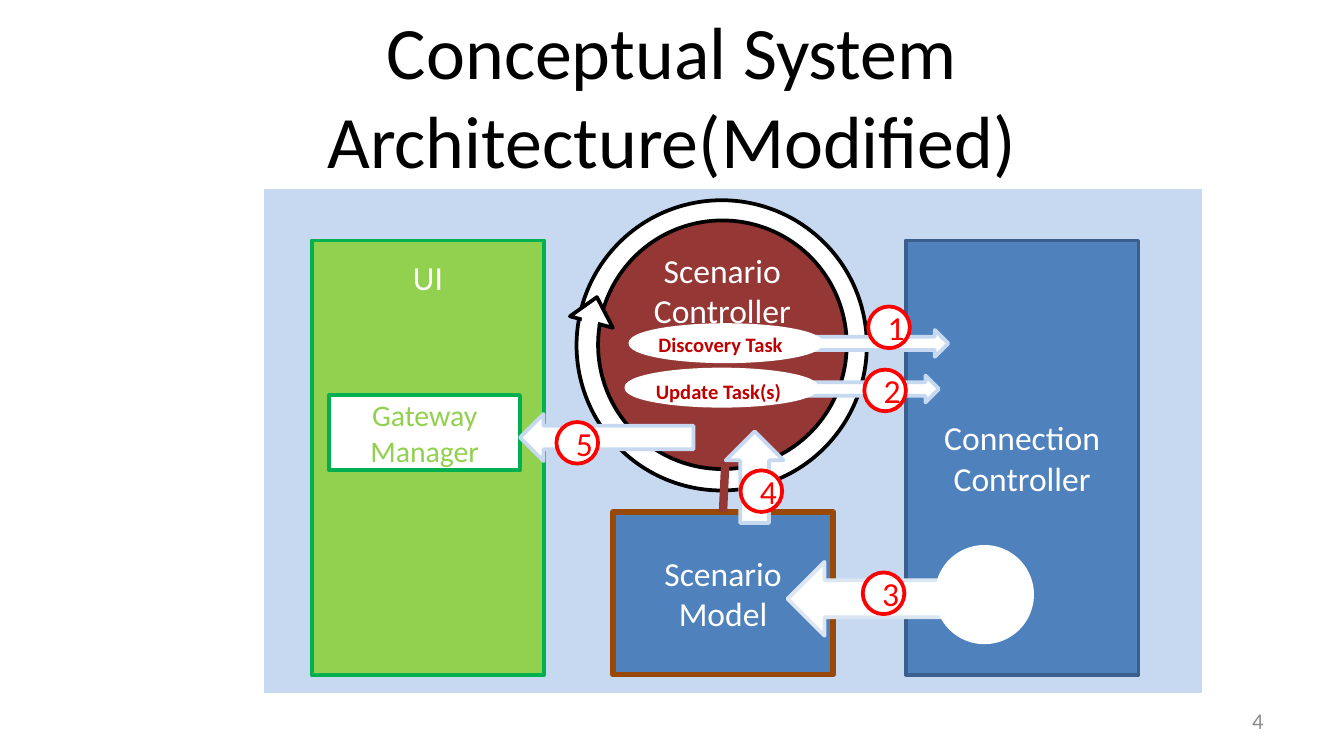
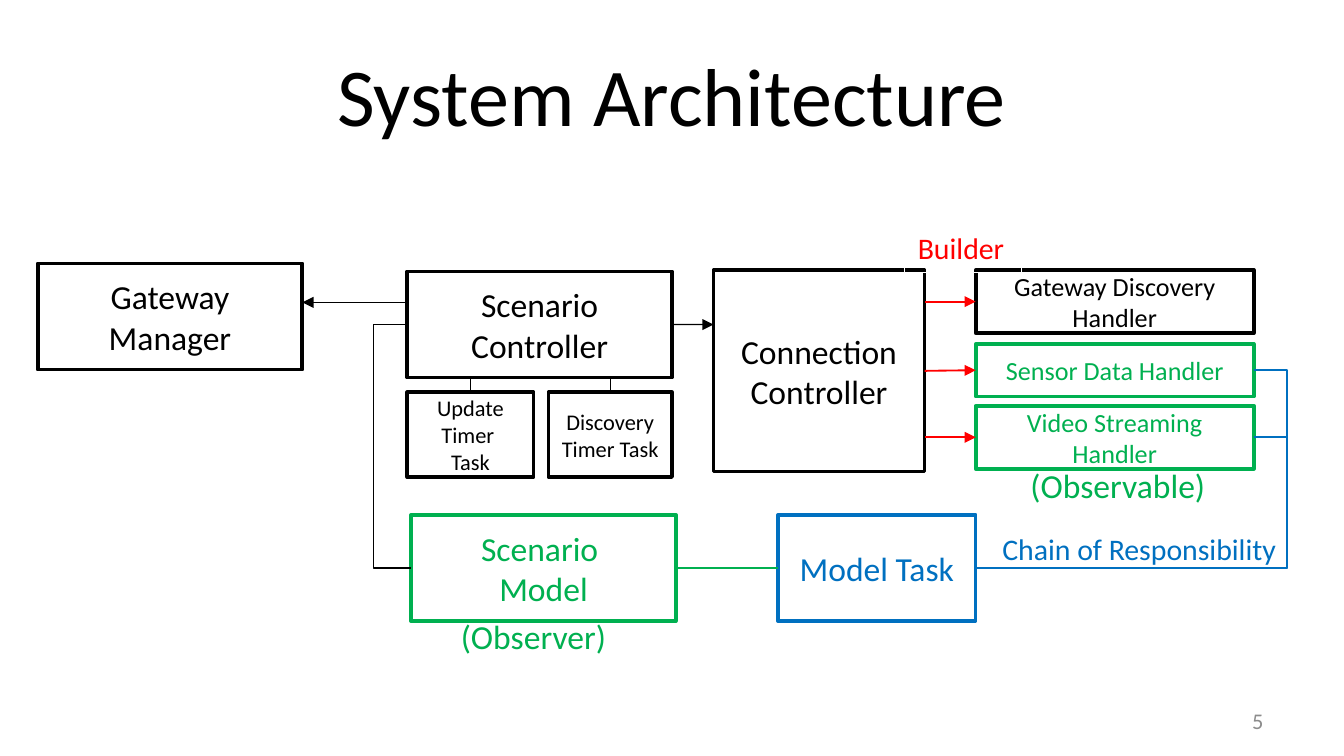
from lxml import etree
from pptx import Presentation
from pptx.dml.color import RGBColor
from pptx.enum.shapes import MSO_CONNECTOR, MSO_SHAPE
from pptx.enum.text import MSO_ANCHOR, PP_ALIGN
from pptx.oxml.ns import qn
from pptx.util import Pt

RECT = MSO_SHAPE.RECTANGLE
OVAL = MSO_SHAPE.OVAL
TRIANGLE = MSO_SHAPE.ISOSCELES_TRIANGLE
LEFT_ARROW = MSO_SHAPE.LEFT_ARROW
RIGHT_ARROW = MSO_SHAPE.RIGHT_ARROW
UP_ARROW = MSO_SHAPE.UP_ARROW
STRAIGHT = MSO_CONNECTOR.STRAIGHT
ELBOW = MSO_CONNECTOR.ELBOW
TOP = MSO_ANCHOR.TOP
MIDDLE = MSO_ANCHOR.MIDDLE
LEFT = PP_ALIGN.LEFT
CENTER = PP_ALIGN.CENTER
RIGHT = PP_ALIGN.RIGHT
SIDE_TOP, SIDE_LEFT, SIDE_RIGHT = 0, 1, 3

FONT = "Calibri"
COLORS = {
    "white": "FFFFFF",
    "black": "000000",
    "sky": "C6D9F1",
    "ice": "DCE6F2",
    "blue": "4F81BD",
    "navy": "3A5F8C",
    "azure": "0070C0",
    "lime": "92D050",
    "green": "00B050",
    "brown": "984807",
    "maroon": "953735",
    "crimson": "C00000",
    "red": "FF0000",
    "gray": "8C8C8C",
}


def rgb(name):
    return RGBColor.from_string(COLORS[name])


class Diagram:
    def __init__(self, deck):
        self.deck = deck
        self.page = None

    def start(self, title, title_size, number):
        self.page = self.deck.slides.add_slide(self.deck.slide_layouts[6])
        self.label(title, 36, 16.6, 648, 67.7, title_size, "black",
                   align=CENTER, anchor=MIDDLE)
        self.label(number, 516.2, 375.1, 167.8, 21.6, 12, "gray",
                   align=RIGHT, anchor=MIDDLE)

    def set_text(self, box, text, size, color, align, anchor, bold=False):
        frame = box.text_frame
        frame.word_wrap = True
        frame.vertical_anchor = anchor
        for index, line in enumerate(text.split("\n")):
            para = frame.add_paragraph() if index else frame.paragraphs[0]
            para.alignment = align
            span = para.add_run()
            span.text = line
            span.font.name = FONT
            span.font.size = Pt(size)
            span.font.bold = bold
            span.font.color.rgb = rgb(color)

    def label(self, text, left, top, width, height, size, color,
              align=LEFT, anchor=TOP, bold=False):
        box = self.page.shapes.add_textbox(Pt(left), Pt(top), Pt(width), Pt(height))
        self.set_text(box, text, size, color, align, anchor, bold)

    def shape(self, kind, left, top, width, height, fill=None, line=None,
              weight=2, turn=0, text=None, size=18, color="white",
              align=CENTER, anchor=MIDDLE):
        box = self.page.shapes.add_shape(kind, Pt(left), Pt(top), Pt(width), Pt(height))
        box.shadow.inherit = False
        box.rotation = turn
        if fill:
            box.fill.solid()
            box.fill.fore_color.rgb = rgb(fill)
        else:
            box.fill.background()
        if line:
            box.line.color.rgb = rgb(line)
            box.line.width = Pt(weight)
        else:
            box.line.fill.background()
        if text:
            self.set_text(box, text, size, color, align, anchor)
        return box

    def outlined(self, text, left, top, width, height, color, size=18):
        return self.shape(RECT, left, top, width, height, line=color,
                          text=text, size=size, color=color)

    def badge(self, text, left, top):
        self.shape(OVAL, left, top, 22.3, 22.3, "white", "red", text=text, color="red")

    def task(self, text, left, top, text_left, text_top):
        self.shape(OVAL, left, top, 102.2, 19.4, "white", "white")
        self.label(text, text_left, text_top, 94.3, 20.9, 11, "crimson", bold=True)

    def connector(self, kind, start, end, color, weight):
        link = self.page.shapes.add_connector(
            kind, Pt(start[0]), Pt(start[1]), Pt(end[0]), Pt(end[1]))
        link.line.color.rgb = rgb(color)
        link.line.width = Pt(weight)
        etree.SubElement(link._element.spPr, qn("a:effectLst"))
        return link

    def line(self, start, end, color="black", weight=0.75, arrow=False,
             begin=None, finish=None):
        link = self.connector(STRAIGHT, start, end, color, weight)
        if begin:
            link.begin_connect(*begin)
        if finish:
            link.end_connect(*finish)
        if arrow:
            outline = link._element.spPr.find(qn("a:ln"))
            etree.SubElement(outline, qn("a:tailEnd"), type="triangle")

    def elbow(self, start, end, via, color="black", weight=0.75):
        link = self.connector(ELBOW, start, end, color, weight)
        ratio = (via - start[0]) / (end[0] - start[0])
        geometry = link._element.spPr.find(qn("a:prstGeom"))
        guides = geometry.find(qn("a:avLst"))
        if guides is None:
            guides = etree.SubElement(geometry, qn("a:avLst"))
        etree.SubElement(guides, qn("a:gd"), name="adj1",
                         fmla=f"val {round(ratio * 100000)}")


def conceptual_page(art):
    art.start("Conceptual System Architecture(Modified)", 39.6, "4")
    art.shape(RECT, 140.4, 100.1, 504.7, 272.2, "sky", "white")
    art.shape(OVAL, 308.9, 107.3, 155.5, 155.5, "white", "black")
    art.shape(RECT, 485.3, 128.9, 124.6, 232.6, "blue", "navy",
              text="Connection Controller")
    panel = art.shape(RECT, 167, 128.9, 124.6, 232.6, "lime", "green",
                      text="UI", anchor=TOP)
    panel.text_frame.margin_top = Pt(9)
    model = art.shape(RECT, 328.3, 274.3, 118.1, 87.1, "blue", "brown", 3,
                      text="Scenario\nModel")
    art.shape(LEFT_ARROW, 421.9, 301, 85.7, 39.6, "white", "ice")
    controller = art.shape(OVAL, 320.4, 118.1, 133.2, 133.2, "maroon", "black",
                           text="Scenario\nController")
    controller.text_frame.margin_bottom = Pt(62)
    art.shape(RIGHT_ARROW, 433.8, 176.8, 74.2, 14.4, "white", "sky")
    art.badge("1", 465.1, 164.2)
    art.badge("3", 462.2, 306.7)
    art.line((388.8, 241.9), (387.4, 274.3), "maroon", 4.5, finish=(model, SIDE_TOP))
    art.shape(OVAL, 501.8, 293, 51.1, 51.1, "white", "white")
    loop_head = art.shape(TRIANGLE, 306.7, 159.1, 23.8, 13.7, "white", "black", turn=15)
    loop_head.adjustments[0] = 0.475
    art.shape(RECT, 313.9, 169.2, 6.5, 6.5, "white", turn=104)
    art.shape(RECT, 309.6, 171.4, 7.9, 4.3, "white", turn=277.5)
    art.task("Discovery Task", 337.7, 174.2, 345.6, 174.2)
    art.shape(RIGHT_ARROW, 428.8, 201.2, 74.2, 14.4, "white", "sky")
    art.shape(RECT, 176.4, 211.7, 102.2, 40.3, "white", "green",
              text="Gateway\nManager", size=16, color="lime")
    art.badge("2", 463, 198)
    art.shape(LEFT_ARROW, 278.6, 221.8, 92.9, 25.2, "white", "sky")
    art.shape(UP_ARROW, 388.8, 231.1, 31, 49, "white", "sky")
    art.task("Update Task(s)", 335.5, 198, 344.2, 199.4)
    art.badge("5", 298.1, 226.1)
    art.badge("4", 396.7, 252)


def system_page(art):
    art.start("System Architecture", 44, "5")
    scenario = art.outlined("Scenario Controller", 218.2, 145.4, 141.8, 56.9, "black")
    connection = art.outlined("Connection Controller", 382.3, 144.7, 113, 108, "black")

    handlers = [
        ("Gateway Discovery Handler", 144.7, 33.8, "black", None),
        ("Sensor Data Handler", 184.3, 28.1, "green", (connection, SIDE_RIGHT)),
        ("Video Streaming\nHandler", 217.4, 33.8, "green", None),
    ]
    for text, top, height, color, begin in handlers:
        handler = art.outlined(text, 522.7, top, 149, height, color, 14)
        middle = top + height / 2
        art.line((495.6, middle), (522.7, middle), "red", 1, True,
                 begin=begin, finish=(handler, SIDE_LEFT))

    timers = [("Update Timer \nTask", 218.2, 67.7), ("Discovery Timer Task", 293.8, 66.2)]
    for text, left, width in timers:
        timer = art.outlined(text, left, 210.2, width, 45.4, "black", 12)
        center = left + width / 2
        art.line((center, 202.3), (center, 210.2), finish=(timer, SIDE_TOP))

    model = art.outlined("Scenario \nModel", 220.3, 275.8, 141.8, 56.9, "green")
    art.line((360, 173.9), (382.3, 173.9), arrow=True, begin=(scenario, SIDE_RIGHT))
    art.elbow((218.2, 173.9), (220.3, 304.2), 200.2)
    art.shape(RECT, 484.6, 119.5, 62.6, 26.6, line="white", weight=0.75,
              text="Builder", size=16, color="red", align=LEFT, anchor=TOP)
    for handler_y in (234.3, 198.4):
        art.elbow((522.7, 304.2), (671.7, handler_y), 689.8, "azure", 1)
    model_task = art.outlined("Model Task", 416.9, 275.8, 105.8, 56.9, "azure")
    art.line((362.1, 304.2), (416.9, 304.2), "green", 1,
             begin=(model, SIDE_RIGHT), finish=(model_task, SIDE_LEFT))
    art.label("Chain of Responsibility", 529.9, 280.8, 164.2, 26.6, 16, "azure")
    art.label("(Observer)", 239.8, 326.2, 108, 28.8, 18, "green")
    art.label("(Observable)", 545, 245.5, 122.4, 28.8, 18, "green")
    art.outlined("Gateway\nManager", 20.2, 141.1, 141.8, 56.9, "black")
    art.line((218.2, 162), (162, 162), arrow=True)


def main():
    deck = Presentation()
    deck.slide_width = Pt(720)
    deck.slide_height = Pt(405)
    art = Diagram(deck)
    conceptual_page(art)
    system_page(art)
    deck.save("out.pptx")


if __name__ == "__main__":
    main()
